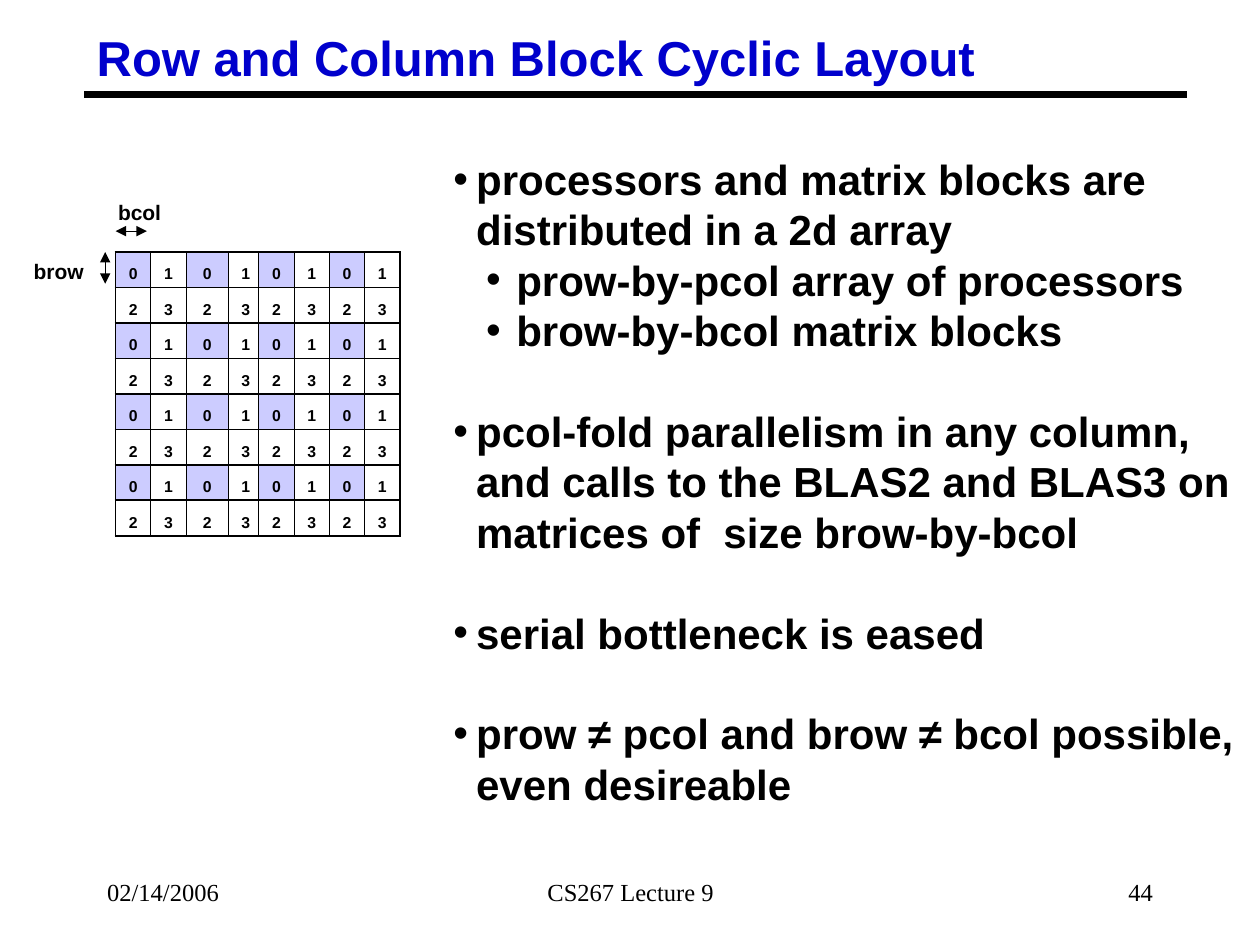
"""Build the row and column block cyclic layout slide."""
from pptx import Presentation
from pptx.dml.color import RGBColor
from pptx.enum.shapes import MSO_CONNECTOR
from pptx.enum.text import MSO_ANCHOR, PP_ALIGN
from pptx.oxml.ns import qn
from pptx.util import Cm, Pt
from lxml import etree

BLACK = RGBColor(0x00, 0x00, 0x00)
BLUE = RGBColor(0x00, 0x00, 0xCC)
LILAC = RGBColor(0xCC, 0xCC, 0xFF)
STRAIGHT = MSO_CONNECTOR.STRAIGHT
TOP, MIDDLE, BOTTOM = MSO_ANCHOR.TOP, MSO_ANCHOR.MIDDLE, MSO_ANCHOR.BOTTOM
LEFT, CENTER, RIGHT = PP_ALIGN.LEFT, PP_ALIGN.CENTER, PP_ALIGN.RIGHT

prs = Presentation()
prs.slide_width, prs.slide_height = Cm(25.4), Cm(19.05)
s = prs.slides.add_slide(prs.slide_layouts[6])


def add_text(box, lines, size, font="Arial", color=BLACK, bold=True,
             align=LEFT, anchor=TOP, wrap=False):
    sp = s.shapes.add_textbox(*[Cm(v) for v in box])
    tf = sp.text_frame
    tf.word_wrap = wrap
    tf.vertical_anchor = anchor
    tf.text = "\n".join(lines)
    for p in tf.paragraphs:
        p.alignment = align
        p.line_spacing = Pt(size * 1.2)
        for r in p.runs:
            r.font.size, r.font.name, r.font.bold = Pt(size), font, bold
            r.font.color.rgb = color
    return tf


def add_line(x1, y1, x2, y2, width, arrows=False):
    sp = s.shapes.add_connector(STRAIGHT, Cm(x1), Cm(y1), Cm(x2), Cm(y2))
    sp.line.color.rgb = BLACK
    sp.line.width = Pt(width)
    if arrows:
        ln = sp.line._get_or_add_ln()
        for end in ("a:headEnd", "a:tailEnd"):
            etree.SubElement(ln, qn(end), type="triangle")
    etree.SubElement(sp._element.spPr, qn("a:effectLst"))


add_line(1.7, 1.91, 23.93, 1.91, 3.75)
for x, w, text, align in [(1.91, 5.28, "02/14/2006", LEFT),
                          (8.69, 8.05, "CS267 Lecture 9", CENTER),
                          (18.21, 5.28, "44", RIGHT)]:
    add_text((x, 17.35, w, 1.27), [text], 14, "Times New Roman", bold=False,
             align=align, anchor=MIDDLE, wrap=True)
add_text((1.7, 0.43, 18.21, 1.45), ["Row and Column Block Cyclic Layout"], 28, color=BLUE)

points = [
    (0, False, "processors and matrix blocks are distributed in a 2d array"),
    (1, False, "prow-by-pcol array of processors"),
    (1, False, "brow-by-bcol matrix blocks"),
    (0, True, "pcol-fold parallelism in any column, and calls to the BLAS2 and "
              "BLAS3 on matrices of  size brow-by-bcol"),
    (0, True, "serial bottleneck is eased"),
    (0, True, "prow ≠ pcol and brow ≠ bcol possible, even desireable"),
]
indents = [(0.46, -0.46), (1.27, -0.61)]
tf = add_text((8.89, 2.97, 16.51, 13.46), [text for _, _, text in points], 24, wrap=True)
for p, (level, gap, _) in zip(tf.paragraphs, points):
    p.level = level
    if gap:
        p.space_before = Pt(28.8)
    pPr = p._p.get_or_add_pPr()
    margin, indent = indents[level]
    pPr.set("marL", str(Cm(margin)))
    pPr.set("indent", str(Cm(indent)))
    clr = etree.SubElement(pPr, qn("a:buClr"))
    etree.SubElement(clr, qn("a:srgbClr"), val=str(BLACK))
    etree.SubElement(pPr, qn("a:buFont"), typeface="Arial")
    etree.SubElement(pPr, qn("a:buChar"), char="•")

N = 8
side = Cm(5.72)
table = s.shapes.add_table(N, N, Cm(2.33), Cm(5.08), side, side).table
table.first_row = table.horz_banding = False
for col, w in zip(table.columns, [0.71, 0.71, 0.86, 0.6, 0.71, 0.71, 0.71, 0.71]):
    col.width = Cm(w)
for row in table.rows:
    row.height = side // N
for i in range(N):
    for j in range(N):
        processor = 2 * (i % 2) + j % 2
        cell = table.cell(i, j)
        cell.vertical_anchor = BOTTOM
        cell.text = str(processor)
        p = cell.text_frame.paragraphs[0]
        p.alignment = CENTER
        p.line_spacing = 0.4
        r = p.runs[0]
        r.font.size, r.font.name, r.font.bold = Pt(9), "Arial", True
        r.font.color.rgb = BLACK
        tcPr = cell._tc.get_or_add_tcPr()
        borders = {"a:lnL": 1.08 if j == 0 else 0.45,
                   "a:lnR": 1.08 if j == N - 1 else 0.45,
                   "a:lnT": 1.08, "a:lnB": 1.08}
        for tag, width in borders.items():
            ln = etree.SubElement(tcPr, qn(tag), w=str(Pt(width)))
            fill = etree.SubElement(ln, qn("a:solidFill"))
            etree.SubElement(fill, qn("a:srgbClr"), val=str(BLACK))
        if processor == 0:
            cell.fill.solid()
            cell.fill.fore_color.rgb = LILAC
        else:
            cell.fill.background()

add_text((2.13, 3.89, 1.37, 0.76), ["bcol"], 12)
add_text((0.43, 5.08, 1.52, 0.76), ["brow"], 12)
add_line(2.33, 4.66, 2.96, 4.66, 0.75, arrows=True)
add_line(2.12, 5.72, 2.12, 5.08, 0.75, arrows=True)

prs.save("out.pptx")
